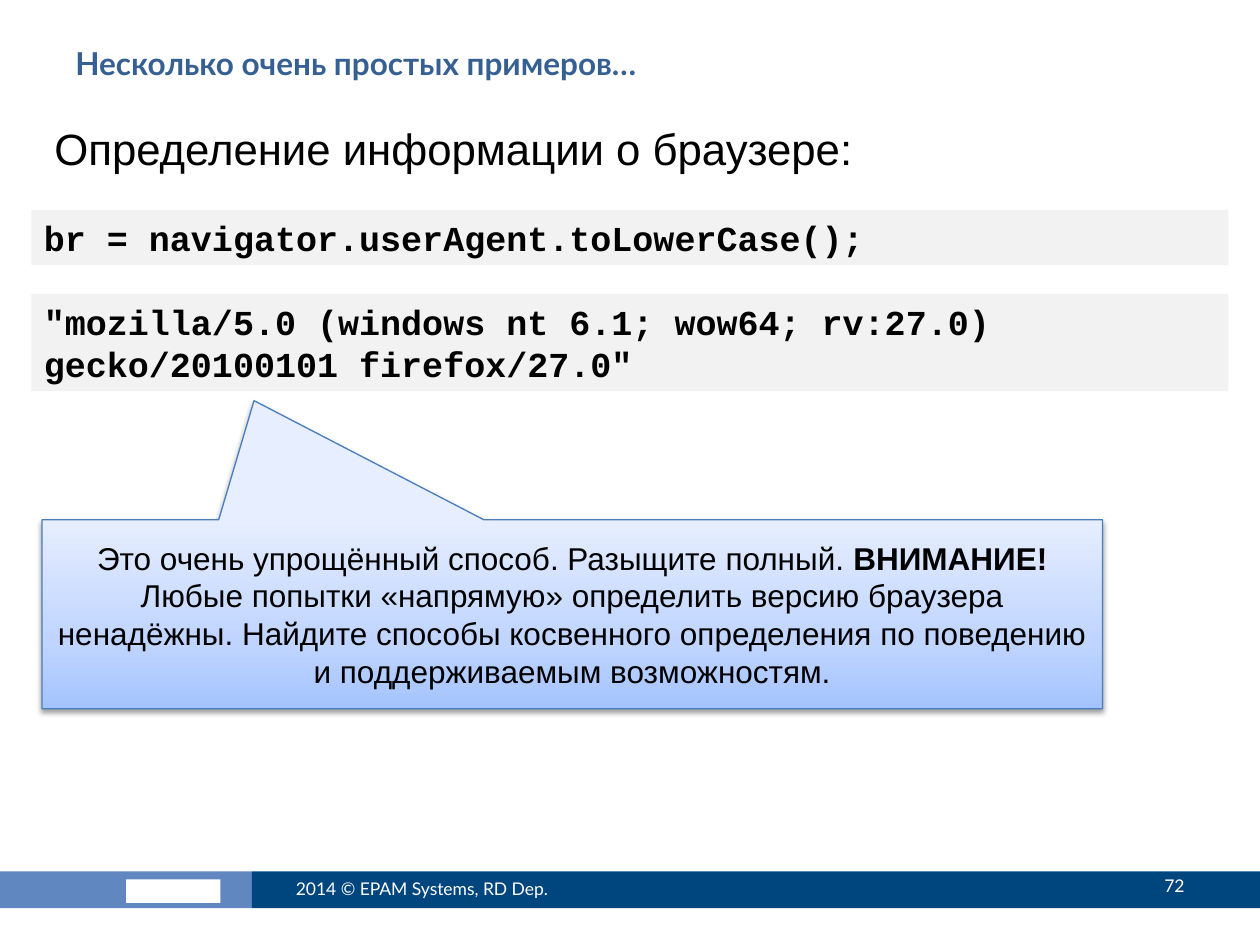
from dataclasses import dataclass
from typing import Optional

from lxml.etree import SubElement
from pptx import Presentation
from pptx.dml.color import RGBColor
from pptx.enum.shapes import MSO_SHAPE as Preset
from pptx.enum.text import MSO_ANCHOR as Anchor, PP_ALIGN as Align
from pptx.oxml.ns import qn
from pptx.util import Emu, Pt

EMU_PER_PX = 9525

WHITE = RGBColor(0xFF, 0xFF, 0xFF)
BLACK = RGBColor(0x00, 0x00, 0x00)
TITLE_BLUE = RGBColor(0x37, 0x60, 0x92)
FOOTER_LIGHT = RGBColor(0x60, 0x87, 0xBF)
FOOTER_DARK = RGBColor(0x00, 0x46, 0x7E)
CODE_GRAY = RGBColor(0xF2, 0xF2, 0xF2)
CALLOUT_LINE = RGBColor(0x4B, 0x7E, 0xBC)
CALLOUT_STOPS = (
    (0, RGBColor(0xA4, 0xC4, 0xFF)),
    (35, RGBColor(0xBF, 0xD4, 0xFF)),
    (100, RGBColor(0xE6, 0xEE, 0xFF)),
)


@dataclass(frozen=True)
class Box:
    left: int
    top: int
    width: int
    height: int

    def emu(self) -> tuple:
        return tuple(Emu(n * EMU_PER_PX) for n in (self.left, self.top, self.width, self.height))


@dataclass(frozen=True)
class Style:
    font: str
    size: int
    color: RGBColor = BLACK
    bold: bool = False
    align: Align = Align.LEFT
    anchor: Anchor = Anchor.TOP


@dataclass(frozen=True)
class Run:
    text: str
    bold: bool = False


@dataclass(frozen=True)
class Label:
    box: Box
    text: str
    style: Style


TITLE = Style("Lato", 18, TITLE_BLUE, bold=True)
HEADING = Style("Arial", 25)
CODE = Style("Courier New", 20, bold=True)
FOOTER = Style("Lato", 10, WHITE, anchor=Anchor.MIDDLE)
PAGE_NUMBER = Style("Lato", 10, WHITE, align=Align.RIGHT, anchor=Anchor.MIDDLE)
CALLOUT = Style("Arial", 18, align=Align.CENTER, anchor=Anchor.MIDDLE)

FOOTER_BLOCKS = (
    (Box(0, 664, 192, 28), FOOTER_LIGHT),
    (Box(192, 664, 768, 28), FOOTER_DARK),
    (Box(96, 670, 72, 18), WHITE),
)
LABELS = (
    Label(Box(48, 29, 864, 75), "Несколько очень простых примеров…", TITLE),
    Label(Box(216, 658, 256, 38), "2014 © EPAM Systems, RD Dep.", FOOTER),
    Label(Box(808, 656, 104, 38), "72", PAGE_NUMBER),
    Label(Box(32, 88, 888, 50), "Определение информации о браузере:", HEADING),
)
CODE_BLOCKS = (
    Label(Box(24, 160, 912, 42), "br = navigator.userAgent.toLowerCase();", CODE),
    Label(
        Box(24, 224, 912, 74),
        '"mozilla/5.0 (windows nt 6.1; wow64; rv:27.0) gecko/20100101 firefox/27.0"',
        CODE,
    ),
)
CALLOUT_BOX = Box(32, 396, 808, 144)
CALLOUT_RUNS = (
    Run("Это очень упрощённый способ. Разыщите полный. "),
    Run("ВНИМАНИЕ!", bold=True),
    Run(
        " Любые попытки «напрямую» определить версию браузера ненадёжны. "
        "Найдите способы косвенного определения по поведению и поддерживаемым возможностям."
    ),
)


def write_runs(shape, runs: tuple, style: Style) -> None:
    frame = shape.text_frame
    frame.word_wrap = True
    frame.vertical_anchor = style.anchor
    paragraph = frame.paragraphs[0]
    paragraph.alignment = style.align
    for item in runs:
        run = paragraph.add_run()
        run.text = item.text
        run.font.name = style.font
        run.font.size = Pt(style.size)
        run.font.bold = item.bold
        run.font.color.rgb = style.color


def add_block(slide, box: Box, fill: Optional[RGBColor], preset: Preset = Preset.RECTANGLE):
    shape = slide.shapes.add_shape(preset, *box.emu())
    shape.shadow.inherit = False
    shape.line.fill.background()
    if fill is not None:
        shape.fill.solid()
        shape.fill.fore_color.rgb = fill
    return shape


def add_label(slide, label: Label) -> None:
    shape = slide.shapes.add_textbox(*label.box.emu())
    write_runs(shape, (Run(label.text, label.style.bold),), label.style)


def add_code(slide, label: Label) -> None:
    shape = add_block(slide, label.box, CODE_GRAY)
    write_runs(shape, (Run(label.text, label.style.bold),), label.style)


def fill_gradient(shape, stops: tuple, angle: int) -> None:
    shape.fill.gradient()
    shape.fill.gradient_angle = angle
    stop_list = shape._element.spPr.find(".//" + qn("a:gsLst"))
    for old_stop in list(stop_list):
        stop_list.remove(old_stop)
    for percent, color in stops:
        stop = SubElement(stop_list, qn("a:gs"), pos=str(percent * 1000))
        SubElement(stop, qn("a:srgbClr"), val=str(color))


def add_shadow(shape, blur: Pt, distance: Pt, opacity: int) -> None:
    effects = shape._element.spPr.find(qn("a:effectLst"))
    shadow = SubElement(
        effects, qn("a:outerShdw"), blurRad=str(blur), dist=str(distance),
        dir="5400000", rotWithShape="0",
    )
    color = SubElement(shadow, qn("a:srgbClr"), val=str(BLACK))
    SubElement(color, qn("a:alpha"), val=str(opacity * 1000))


def add_callout(slide) -> None:
    shape = add_block(slide, CALLOUT_BOX, None, Preset.RECTANGULAR_CALLOUT)
    shape.adjustments[0] = -0.3
    shape.adjustments[1] = -1.13
    fill_gradient(shape, CALLOUT_STOPS, 90)
    shape.line.color.rgb = CALLOUT_LINE
    shape.line.width = Pt(0.75)
    add_shadow(shape, Pt(3.1), Pt(1.6), 38)
    write_runs(shape, CALLOUT_RUNS, CALLOUT)


def main() -> None:
    presentation = Presentation()
    presentation.slide_width = Emu(960 * EMU_PER_PX)
    presentation.slide_height = Emu(720 * EMU_PER_PX)
    slide = presentation.slides.add_slide(presentation.slide_layouts[6])
    for box, fill in FOOTER_BLOCKS:
        add_block(slide, box, fill)
    for label in LABELS:
        add_label(slide, label)
    for label in CODE_BLOCKS:
        add_code(slide, label)
    add_callout(slide)
    presentation.save("out.pptx")


if __name__ == "__main__":
    main()
